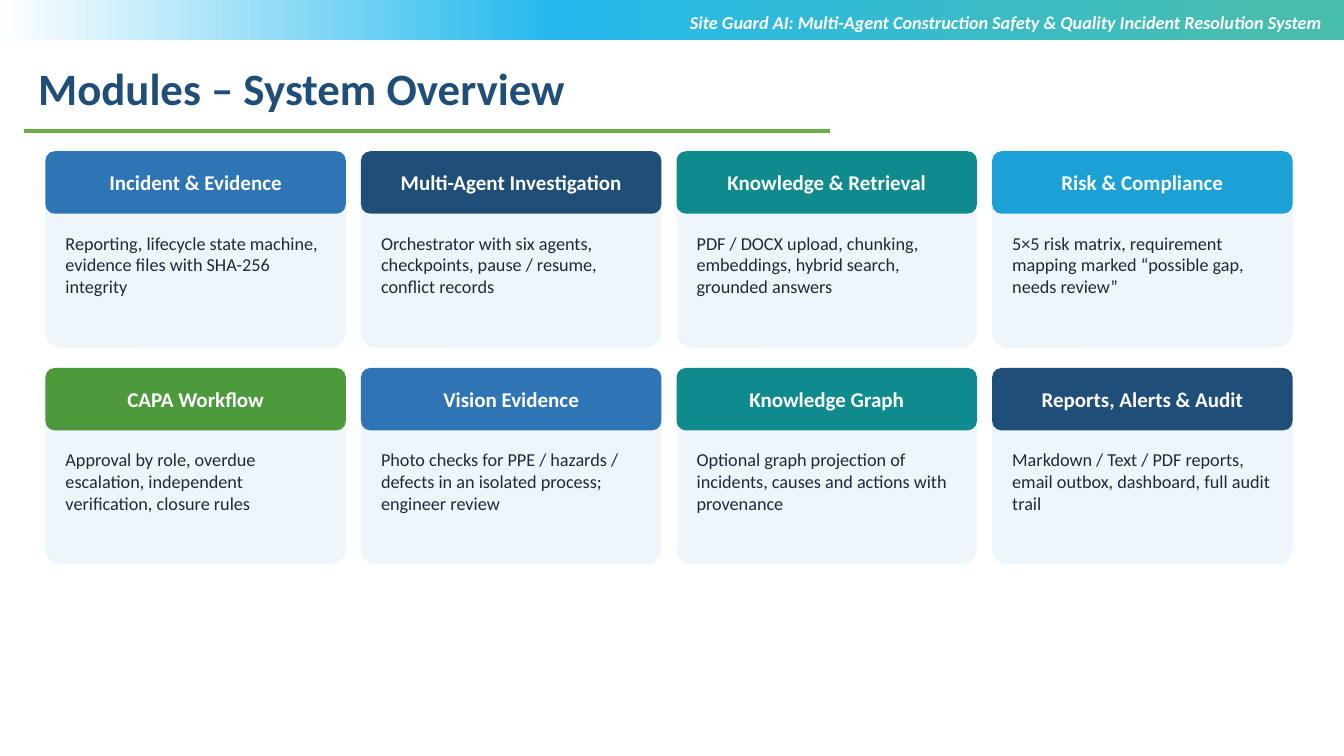
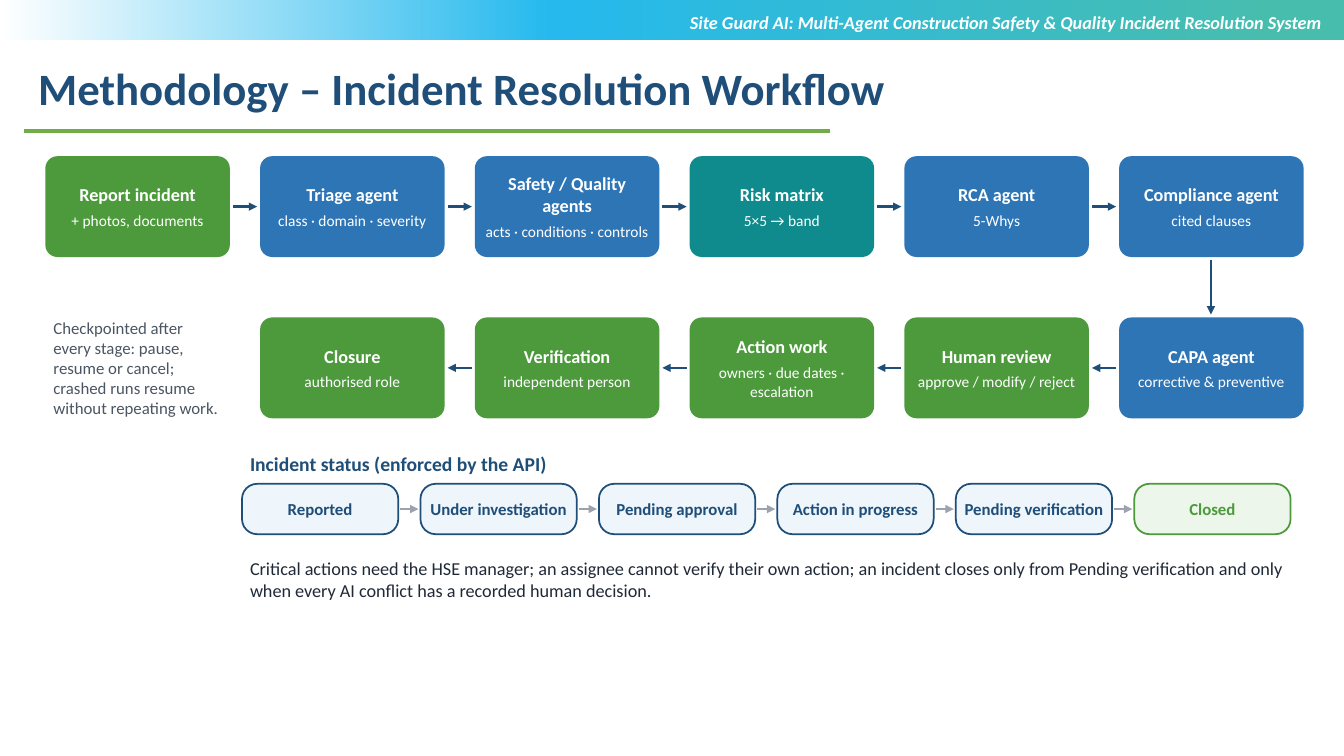
"""Build two slides on the modules and the workflow of a site safety system."""
from copy import deepcopy

from pptx import Presentation
from pptx.dml.color import RGBColor
from pptx.enum.shapes import MSO_CONNECTOR, MSO_SHAPE
from pptx.enum.text import MSO_ANCHOR as ANCHOR, PP_ALIGN as ALIGN
from pptx.oxml.ns import qn
from pptx.oxml.xmlchemy import OxmlElement
from pptx.util import Inches, Pt

FONT = "Calibri"
NAVY = RGBColor(0x1F, 0x4E, 0x79)
BLUE = RGBColor(0x2E, 0x75, 0xB6)
TEAL = RGBColor(0x0F, 0x8B, 0x8D)
SKY = RGBColor(0x1B, 0xA1, 0xD6)
GREEN = RGBColor(0x4C, 0x9A, 0x3C)
RULE_GREEN = RGBColor(0x70, 0xAD, 0x47)
PALE_BLUE = RGBColor(0xEE, 0xF5, 0xFB)
PALE_GREEN = RGBColor(0xED, 0xF6, 0xEA)
INK = RGBColor(0x1F, 0x29, 0x37)
SLATE = RGBColor(0x4B, 0x55, 0x63)
GREY = RGBColor(0x9C, 0xA3, 0xAF)
WHITE = RGBColor(0xFF, 0xFF, 0xFF)
BAND_STOPS = [
    (0.05, RGBColor(0x47, 0xBD, 0xAE)),
    (0.59, RGBColor(0x25, 0xB9, 0xED)),
    (1.0, WHITE),
]
RUNNING_TITLE = "Site Guard AI: Multi-Agent Construction Safety & Quality Incident Resolution System"


def add_box(page, text, left, top, width, height, *, size=13, color=INK, bold=False,
            italic=False, align=ALIGN.LEFT, anchor=ANCHOR.TOP, inset=0.08,
            space_after=4, fill=None, outline=None, corner=None):
    """Add a text box, or a rounded box if corner is given; later lines are small."""
    area = [Inches(value) for value in (left, top, width, height)]
    if corner is None:
        box = page.shapes.add_textbox(*area)
    else:
        box = page.shapes.add_shape(MSO_SHAPE.ROUNDED_RECTANGLE, *area)
        box.adjustments[0] = corner
        box.shadow.inherit = False
        box.fill.solid()
        box.fill.fore_color.rgb = fill
        if outline is None:
            box.line.fill.background()
        else:
            box.line.color.rgb = outline
            box.line.width = Pt(1.25)
    if text is None:
        return
    frame = box.text_frame
    frame.word_wrap = True
    frame.vertical_anchor = anchor
    if inset is not None:
        frame.margin_left = frame.margin_right = Inches(inset)
        frame.margin_top = frame.margin_bottom = Inches(inset)
    for index, line in enumerate(text.split("\n")):
        para = frame.add_paragraph() if index else frame.paragraphs[0]
        para.alignment = align
        para.space_after = Pt(space_after)
        span = para.add_run()
        span.text = line
        span.font.name = FONT
        span.font.size = Pt(11 if index else size)
        span.font.bold = bold and not index
        span.font.italic = italic
        span.font.color.rgb = color


def add_line(page, start, end, color, weight, arrow=True):
    """Draw a straight line from start to end."""
    line = page.shapes.add_connector(
        MSO_CONNECTOR.STRAIGHT, *(Inches(value) for value in (*start, *end)))
    line.line.color.rgb = color
    line.line.width = Pt(weight)
    if arrow:
        head = OxmlElement("a:tailEnd")
        head.set("type", "triangle")
        line.line._get_or_add_ln().append(head)
    line._element.spPr.append(OxmlElement("a:effectLst"))


deck = Presentation()
deck.slide_width = Inches(13.33)
deck.slide_height = Inches(7.5)

pages = []
for title in ["Modules – System Overview", "Methodology – Incident Resolution Workflow"]:
    page = deck.slides.add_slide(deck.slide_layouts[6])
    band = page.shapes.add_shape(MSO_SHAPE.RECTANGLE, 0, 0, deck.slide_width, Inches(0.4))
    band.shadow.inherit = False
    band.line.fill.background()
    band.fill.gradient()
    band.fill.gradient_angle = 180
    stop_list = band._element.spPr.find(qn("a:gradFill")).find(qn("a:gsLst"))
    stop_list.append(deepcopy(stop_list[0]))
    for stop, (position, color) in zip(band.fill.gradient_stops, BAND_STOPS):
        stop.position = position
        stop.color.rgb = color
    add_box(page, title, 0.28, 0.55, 11.62, 0.71, size=32, color=NAVY, bold=True,
            inset=None, space_after=0)
    add_line(page, (0.24, 1.3), (8.23, 1.3), RULE_GREEN, 2.25, arrow=False)
    add_box(page, RUNNING_TITLE, 4.35, 0.06, 8.85, 0.71, color=WHITE, bold=True,
            italic=True, align=ALIGN.RIGHT, inset=None, space_after=0)
    pages.append(page)
overview, workflow = pages

modules = [
    ("Incident & Evidence", BLUE,
     "Reporting, lifecycle state machine, evidence files with SHA-256 integrity"),
    ("Multi-Agent Investigation", NAVY,
     "Orchestrator with six agents, checkpoints, pause / resume, conflict records"),
    ("Knowledge & Retrieval", TEAL,
     "PDF / DOCX upload, chunking, embeddings, hybrid search, grounded answers"),
    ("Risk & Compliance", SKY,
     "5×5 risk matrix, requirement mapping marked “possible gap, needs review”"),
    ("CAPA Workflow", GREEN,
     "Approval by role, overdue escalation, independent verification, closure rules"),
    ("Vision Evidence", BLUE,
     "Photo checks for PPE / hazards / defects in an isolated process; engineer review"),
    ("Knowledge Graph", TEAL,
     "Optional graph projection of incidents, causes and actions with provenance"),
    ("Reports, Alerts & Audit", NAVY,
     "Markdown / Text / PDF reports, email outbox, dashboard, full audit trail"),
]
for index, (name, color, summary) in enumerate(modules):
    row, column = divmod(index, 4)
    left, top = 0.45 + 3.13 * column, 1.5 + 2.15 * row
    add_box(overview, None, left, top, 2.98, 1.95, fill=PALE_BLUE, corner=0.08)
    add_box(overview, name, left, top, 2.98, 0.62, size=15, color=WHITE, bold=True,
            align=ALIGN.CENTER, anchor=ANCHOR.MIDDLE, fill=color, corner=0.15)
    add_box(overview, summary, left + 0.12, top + 0.72, 2.74, 1.15)

STEP_WIDTH, STEP_PITCH, STEP_GAP = 1.83, 2.13, 0.03
steps = [
    ("Report incident\n+ photos, documents", GREEN),
    ("Triage agent\nclass · domain · severity", BLUE),
    ("Safety / Quality agents\nacts · conditions · controls", BLUE),
    ("Risk matrix\n5×5 → band", TEAL),
    ("RCA agent\n5-Whys", BLUE),
    ("Compliance agent\ncited clauses", BLUE),
    ("CAPA agent\ncorrective & preventive", BLUE),
    ("Human review\napprove / modify / reject", GREEN),
    ("Action work\nowners · due dates · escalation", GREEN),
    ("Verification\nindependent person", GREEN),
    ("Closure\nauthorised role", GREEN),
]
for index, (text, color) in enumerate(steps):
    row, offset = divmod(index, 6)
    column = 5 - offset if row else offset
    left, top = 0.45 + STEP_PITCH * column, 1.55 + 1.6 * row
    middle = top + 0.5
    add_box(workflow, text, left, top, STEP_WIDTH, 1, color=WHITE, bold=True, inset=0.05,
            align=ALIGN.CENTER, anchor=ANCHOR.MIDDLE, fill=color, corner=0.12)
    if offset and row:
        add_line(workflow, (left + STEP_PITCH - STEP_GAP, middle),
                 (left + STEP_WIDTH + STEP_GAP, middle), NAVY, 1.75)
    elif offset:
        add_line(workflow, (left - STEP_PITCH + STEP_WIDTH + STEP_GAP, middle),
                 (left - STEP_GAP, middle), NAVY, 1.75)
add_line(workflow, (12.01, 2.58), (12.01, 3.12), NAVY, 1.75)
add_box(workflow, "Checkpointed after every stage: pause, resume or cancel; "
        "crashed runs resume without repeating work.",
        0.45, 3.2, STEP_WIDTH, 0.9, size=12, color=SLATE, anchor=ANCHOR.MIDDLE)

add_box(workflow, "Incident status (enforced by the API)", 2.4, 4.4, 10.5, 0.35,
        size=14, color=NAVY, bold=True)
statuses = ["Reported", "Under investigation", "Pending approval",
            "Action in progress", "Pending verification", "Closed"]
for index, status in enumerate(statuses):
    left = 2.4 + 1.77 * index
    closed = status == "Closed"
    color = GREEN if closed else NAVY
    add_box(workflow, status, left, 4.8, 1.55, 0.5, size=12, color=color, bold=True,
            align=ALIGN.CENTER, anchor=ANCHOR.MIDDLE, inset=0.02, corner=0.3,
            fill=PALE_GREEN if closed else PALE_BLUE, outline=color)
    if index:
        add_line(workflow, (left - 0.2, 5.05), (left - 0.02, 5.05), GREY, 1.5)
add_box(workflow, "Critical actions need the HSE manager; an assignee cannot verify their "
        "own action; an incident closes only from Pending verification and only when "
        "every AI conflict has a recorded human decision.", 2.4, 5.45, 10.5, 0.75)

deck.save("out.pptx")
